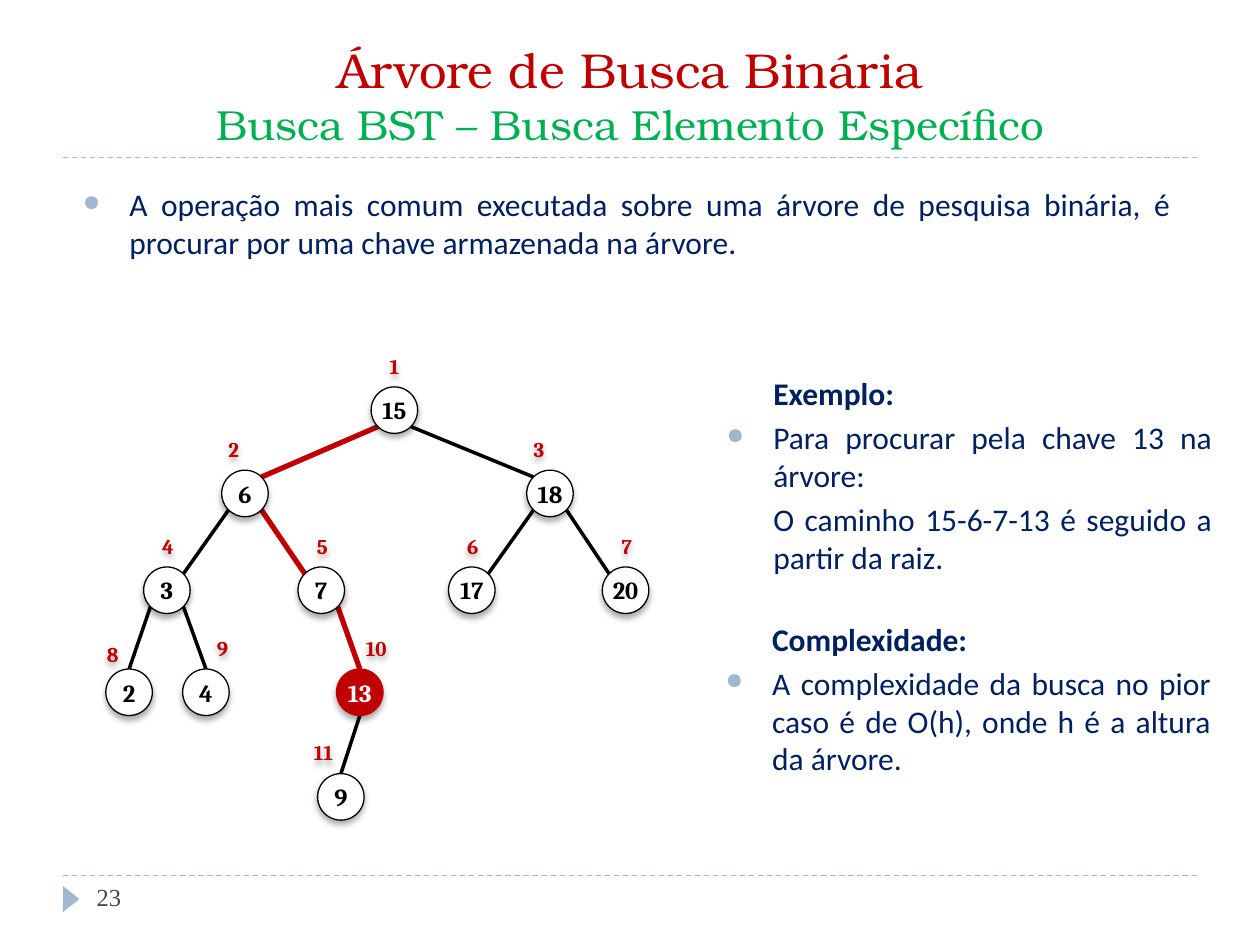
from dataclasses import dataclass
from math import copysign, sqrt

from lxml import etree
from pptx import Presentation
from pptx.dml.color import RGBColor
from pptx.enum.dml import MSO_LINE
from pptx.enum.shapes import MSO_CONNECTOR, MSO_SHAPE
from pptx.enum.text import MSO_ANCHOR, MSO_AUTO_SIZE, PP_ALIGN
from pptx.oxml import parse_xml
from pptx.oxml.ns import nsdecls, qn
from pptx.util import Pt

STRAIGHT = MSO_CONNECTOR.STRAIGHT
OVAL, TRIANGLE = MSO_SHAPE.OVAL, MSO_SHAPE.ISOSCELES_TRIANGLE
DASH = MSO_LINE.DASH
MIDDLE, TOP = MSO_ANCHOR.MIDDLE, MSO_ANCHOR.TOP
CENTER, JUSTIFY = PP_ALIGN.CENTER, PP_ALIGN.JUSTIFY

COLORS = {"red": "C00000", "green": "00B050", "navy": "002060", "rule": "9FB8CD",
          "number": "464653", "black": "000000", "white": "FFFFFF"}
TITLE_FONT, BODY_FONT, TREE_FONT, NUMBER_FONT = (
    "TeX Gyre Bonum", "Calibri", "Cambria", "Times New Roman")

RADIUS = 13.3
LEVEL_Y = (234.4, 282, 337.3, 395.6, 455.4)
LABEL_SIZE = (29.5, 21.6)
FIRST_VERTICAL_LEVEL = 3  # from here on, branches meet nodes at top and bottom
INDENT = 26.6


@dataclass(frozen=True)
class Node:
    key: int
    order: int
    level: int
    x: float
    parent: int | None = None
    label_dx: float = 0
    label_dy: float = -25.4

    @property
    def y(self) -> float:
        return LEVEL_Y[self.level]


@dataclass(frozen=True)
class Item:
    text: str
    bold: bool = False
    bullet: bool = False


@dataclass(frozen=True)
class TextBlock:
    left: float
    top: float
    width: float
    height: float
    items: tuple[Item, ...]


NODES = (
    Node(15, 1, 0, 225.4),
    Node(6, 2, 1, 140, 15, -6.4),
    Node(18, 3, 1, 314.3, 15, -6.4),
    Node(3, 4, 2, 95.4, 6, 0.6),
    Node(7, 5, 2, 183.6, 6, 0.6),
    Node(17, 6, 2, 269.6, 18, 0.6),
    Node(20, 7, 2, 357.5, 18, 0.6),
    Node(2, 8, 3, 73.8, 3, -9.4, -22),
    Node(4, 9, 3, 117.7, 3, 9.4),
    Node(13, 10, 3, 205.6, 7, 9.4),
    Node(9, 11, 4, 194.8, 13, -10),
)
TARGET = 13
SEARCH_PATH = (15, 6, 7, TARGET)

TEXT_BLOCKS = (
    TextBlock(40.3, 102.2, 635.8, 51.1, (
        Item("A operação mais comum executada sobre uma árvore de pesquisa binária, é "
             "procurar por uma chave armazenada na árvore.", bullet=True),)),
    TextBlock(408.2, 210.2, 291.6, 125.3, (
        Item("Exemplo:", bold=True),
        Item("Para procurar pela chave 13 na árvore:", bullet=True),
        Item("O caminho 15-6-7-13 é seguido a partir da raiz."))),
    TextBlock(407.5, 350.6, 291.6, 98.6, (
        Item("Complexidade:", bold=True),
        Item("A complexidade da busca no pior caso é de O(h), onde h é a altura da "
             "árvore.", bullet=True))),
)


def color(name: str) -> RGBColor:
    return RGBColor.from_string(COLORS[name])


def add_run(paragraph, text: str, size: float, font: str, color_name: str,
            bold: bool = False) -> None:
    run = paragraph.add_run()
    run.text = text
    run.font.size = Pt(size)
    run.font.name = font
    run.font.bold = bold
    run.font.color.rgb = color(color_name)


def add_text_box(slide, left: float, top: float, width: float, height: float,
                 anchor=TOP):
    box = slide.shapes.add_textbox(Pt(left), Pt(top), Pt(width), Pt(height))
    box.text_frame.word_wrap = True
    box.text_frame.vertical_anchor = anchor
    return box


def add_line(slide, start: tuple[float, float], end: tuple[float, float],
             color_name: str, width: float):
    line = slide.shapes.add_connector(STRAIGHT, *map(Pt, start + end))
    line.line.color.rgb = color(color_name)
    line.line.width = Pt(width)
    etree.SubElement(line._element.spPr, qn("a:effectLst"))
    return line


def add_shadow(shape) -> None:
    """Give the shape a soft shadow straight below it."""
    shape.shadow.inherit = False
    effects = shape._element.spPr.find(qn("a:effectLst"))
    effects.append(parse_xml(
        f'<a:outerShdw {nsdecls("a")} blurRad="{Pt(3.5)}" dist="{Pt(2.2)}" '
        'dir="5400000" rotWithShape="0"><a:srgbClr val="000000">'
        '<a:alpha val="32000"/></a:srgbClr></a:outerShdw>'))


def add_bullet(paragraph) -> None:
    properties = paragraph._p.get_or_add_pPr()
    bullet_color = etree.SubElement(properties, qn("a:buClr"))
    etree.SubElement(bullet_color, qn("a:srgbClr"), val=COLORS["rule"])
    etree.SubElement(properties, qn("a:buSzPct"), val="70000")
    etree.SubElement(properties, qn("a:buChar"), char="●")


def add_text_block(slide, block: TextBlock) -> None:
    frame = add_text_box(slide, block.left, block.top, block.width,
                         block.height).text_frame
    for index, item in enumerate(block.items):
        paragraph = frame.add_paragraph() if index else frame.paragraphs[0]
        paragraph.alignment = JUSTIFY
        paragraph.space_before = Pt(3.6 if index else 0)
        properties = paragraph._p.get_or_add_pPr()
        properties.set("marL", str(Pt(INDENT)))
        properties.set("indent", str(Pt(-INDENT if item.bullet else 0)))
        if item.bullet:
            add_bullet(paragraph)
        add_run(paragraph, item.text, 18, BODY_FONT, "navy", item.bold)


def branch_end(node: Node, other: Node) -> tuple[float, float]:
    """Point on the node's outline where the branch to the other node starts."""
    down = copysign(1, other.y - node.y)
    if node.level >= FIRST_VERTICAL_LEVEL:
        return node.x, node.y + down * RADIUS
    reach = RADIUS / sqrt(2)
    return node.x + copysign(reach, other.x - node.x), node.y + down * reach


def add_branch(slide, parent: Node, child: Node) -> None:
    color_name, width = ("red", 3) if child.key in SEARCH_PATH else ("black", 2)
    add_line(slide, branch_end(parent, child), branch_end(child, parent),
             color_name, width)


def add_node(slide, node: Node) -> None:
    fill, outline, ink = (("red", "red", "white") if node.key == TARGET
                          else ("white", "black", "black"))
    circle = slide.shapes.add_shape(OVAL, Pt(node.x - RADIUS), Pt(node.y - RADIUS),
                                    Pt(2 * RADIUS), Pt(2 * RADIUS))
    circle.fill.solid()
    circle.fill.fore_color.rgb = color(fill)
    circle.line.color.rgb = color(outline)
    circle.line.width = Pt(0.75)
    add_shadow(circle)
    frame = circle.text_frame
    frame.margin_left = frame.margin_right = frame.margin_top = frame.margin_bottom = 0
    frame.vertical_anchor = MIDDLE
    frame.word_wrap = False
    frame.paragraphs[0].alignment = CENTER
    add_run(frame.paragraphs[0], str(node.key), 14, TREE_FONT, ink, True)

    width, height = LABEL_SIZE
    label = add_text_box(slide, node.x + node.label_dx - width / 2,
                         node.y + node.label_dy - height / 2, width, height, MIDDLE)
    add_shadow(label)
    paragraph = label.text_frame.paragraphs[0]
    paragraph.alignment = CENTER
    add_run(paragraph, str(node.order), 12, TREE_FONT, "red", True)


def add_title(slide) -> None:
    title = slide.shapes.title
    title.left, title.top, title.width, title.height = map(Pt, (36, 18, 648, 72))
    title.text_frame.auto_size = MSO_AUTO_SIZE.NONE
    title.text_frame.vertical_anchor = MIDDLE
    paragraph = title.text_frame.paragraphs[0]
    paragraph.alignment = CENTER
    add_run(paragraph, "Árvore de Busca Binária", 28, TITLE_FONT, "red")
    paragraph.add_line_break()
    add_run(paragraph, "Busca BST – Busca Elemento Específico", 24, TITLE_FONT, "green")


def add_frame(slide) -> None:
    """Dashed rules, page marker and page number."""
    for y in (500.4, 90):
        add_line(slide, (36, y), (684, y), "rule", 0.75).line.dash_style = DASH
    marker = slide.shapes.add_shape(TRIANGLE, Pt(33.1), Pt(509), Pt(15), Pt(9.5))
    marker.rotation = 90
    marker.shadow.inherit = False
    marker.fill.solid()
    marker.fill.fore_color.rgb = color("rule")
    marker.line.fill.background()
    number = add_text_box(slide, 48.2, 500.4, 156, 28.8)
    add_run(number.text_frame.paragraphs[0], "23", 14, NUMBER_FONT, "number")


def main() -> None:
    presentation = Presentation()
    presentation.slide_width, presentation.slide_height = Pt(720), Pt(540)
    slide = presentation.slides.add_slide(presentation.slide_layouts[5])
    add_title(slide)
    add_frame(slide)
    for block in TEXT_BLOCKS:
        add_text_block(slide, block)
    nodes_by_key = {node.key: node for node in NODES}
    for node in NODES:
        if node.parent is not None:
            add_branch(slide, nodes_by_key[node.parent], node)
    for node in NODES:
        add_node(slide, node)
    presentation.save("out.pptx")


if __name__ == "__main__":
    main()
